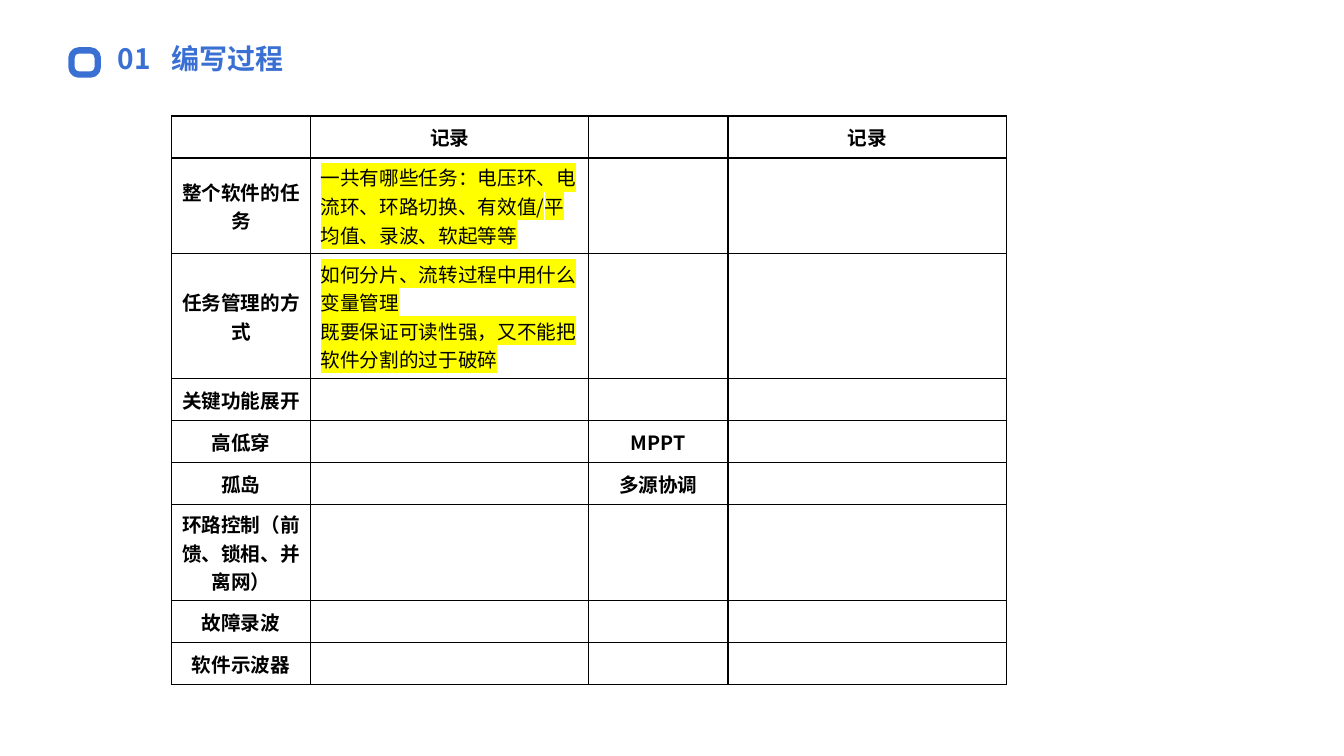
from dataclasses import dataclass

from lxml.etree import SubElement
from pptx import Presentation
from pptx.dml.color import RGBColor
from pptx.enum.shapes import MSO_SHAPE
from pptx.enum.text import MSO_ANCHOR, MSO_AUTO_SIZE, PP_ALIGN
from pptx.oxml.ns import qn
from pptx.util import Inches, Pt


@dataclass(frozen=True)
class Theme:
    font: str = "Noto Sans CJK SC"
    heading: str = "3A70D3"
    ink: str = "000000"
    highlight: str = "FFFF00"
    heading_size: int = 20
    body_size: int = 14
    border: int = 1
    mark_line: float = 4.5


class Page:
    GRID = 0.1

    def __init__(self, deck, theme):
        self.theme = theme
        self.slide = deck.slides.add_slide(deck.slide_layouts[5])

    def span(self, *units):
        return [Inches(unit * self.GRID) for unit in units]

    def style(self, paragraph, size, color, bold, align):
        paragraph.alignment = align
        font = paragraph.font
        font.size, font.bold, font.name = Pt(size), bold, self.theme.font
        font.color.rgb = RGBColor.from_string(color)
        defaults = paragraph._p.pPr.find(qn("a:defRPr"))
        SubElement(defaults, qn("a:ea"), typeface=self.theme.font)

    def heading(self, frame, wording):
        frame.text = wording
        frame.word_wrap = True
        frame.auto_size = MSO_AUTO_SIZE.NONE
        frame.vertical_anchor = MSO_ANCHOR.TOP
        paragraph = frame.paragraphs[0]
        paragraph.line_spacing = 0.9
        self.style(paragraph, self.theme.heading_size, self.theme.heading, True, PP_ALIGN.LEFT)

    def title(self, wording, *place):
        title = self.slide.shapes.title
        title.left, title.top, title.width, title.height = self.span(*place)
        self.heading(title.text_frame, wording)

    def number(self, wording, *place):
        number = self.slide.shapes.add_textbox(*self.span(*place))
        self.heading(number.text_frame, wording)

    def mark(self, *place):
        mark = self.slide.shapes.add_shape(MSO_SHAPE.ROUNDED_RECTANGLE, *self.span(*place))
        mark.adjustments[0] = 0.3
        mark.shadow.inherit = False
        mark.fill.background()
        mark.line.color.rgb = RGBColor.from_string(self.theme.heading)
        mark.line.width = Pt(self.theme.mark_line)

    def borders(self, cell):
        properties = cell._tc.get_or_add_tcPr()
        for side in ("lnL", "lnR", "lnT", "lnB"):
            line = SubElement(properties, qn(f"a:{side}"), w=str(Pt(self.theme.border)))
            fill = SubElement(line, qn("a:solidFill"))
            SubElement(fill, qn("a:srgbClr"), val=self.theme.ink)

    def cell(self, cell, wording, is_record):
        self.borders(cell)
        cell.fill.background()
        cell.vertical_anchor = MSO_ANCHOR.MIDDLE
        cell.text = wording
        align = PP_ALIGN.LEFT if is_record else PP_ALIGN.CENTER
        for paragraph in cell.text_frame.paragraphs:
            self.style(paragraph, self.theme.body_size, self.theme.ink, not is_record, align)
            if is_record:
                for run in paragraph.runs:
                    highlight = SubElement(run._r.get_or_add_rPr(), qn("a:highlight"))
                    SubElement(highlight, qn("a:srgbClr"), val=self.theme.highlight)

    def table(self, entries, left, top, widths, heights):
        place = self.span(left, top, sum(widths), sum(heights))
        table = self.slide.shapes.add_table(len(heights), len(widths), *place).table
        table.first_row = table.horz_banding = False
        for column, width in zip(table.columns, self.span(*widths)):
            column.width = width
        for row, height in zip(table.rows, self.span(*heights)):
            row.height = height
        for row_index, entry in enumerate(entries):
            for column_index, wording in enumerate(entry):
                is_record = row_index > 0 and column_index % 2 == 1
                self.cell(table.cell(row_index, column_index), wording, is_record)


def main():
    deck = Presentation()
    deck.slide_width, deck.slide_height = Inches(13.33), Inches(7.5)
    page = Page(deck, Theme())
    page.mark(7.1, 5, 2.6, 2.4)
    page.title("编写过程", 16, 4, 35.6, 3.5)
    page.number("01", 10.7, 4, 6.3, 3.5)

    tasks = "一共有哪些任务：电压环、电流环、环路切换、有效值/平均值、录波、软起等等"
    management = "如何分片、流转过程中用什么变量管理\n既要保证可读性强，又不能把软件分割的过于破碎"
    entries = [
        ("", "记录", "", "记录"),
        ("整个软件的任务", tasks, "", ""),
        ("任务管理的方式", management, "", ""),
        ("关键功能展开", "", "", ""),
        ("高低穿", "", "MPPT", ""),
        ("孤岛", "", "多源协调", ""),
        ("环路控制（前馈、锁相、并离网）", "", "", ""),
        ("故障录波", "", "", ""),
        ("软件示波器", "", "", ""),
    ]
    topic_width, single_line, three_lines, four_lines = 13.8, 4.17, 9.5, 12.4
    tall_rows = {1: three_lines, 2: four_lines, 6: three_lines}
    heights = [tall_rows.get(index, single_line) for index in range(len(entries))]
    page.table(entries, 17, 11.5, [topic_width, 2 * topic_width] * 2, heights)
    deck.save("out.pptx")


if __name__ == "__main__":
    main()
